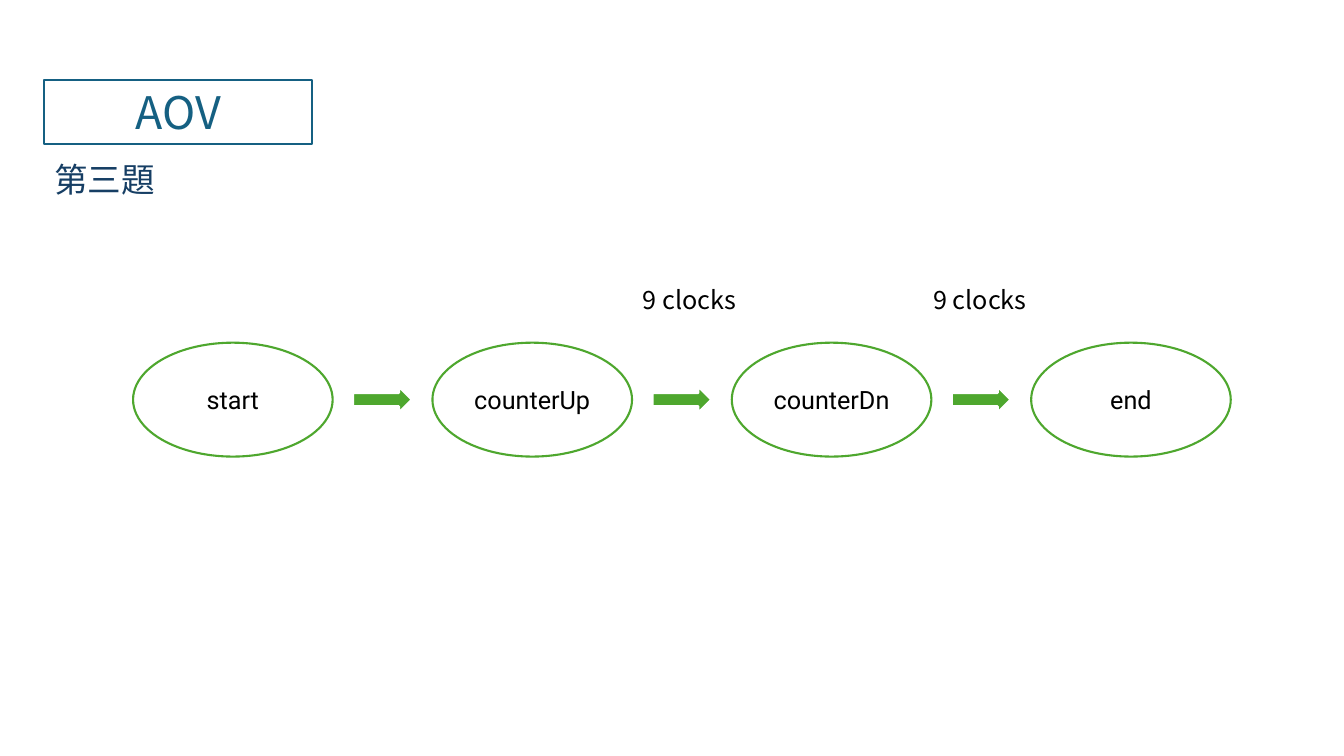
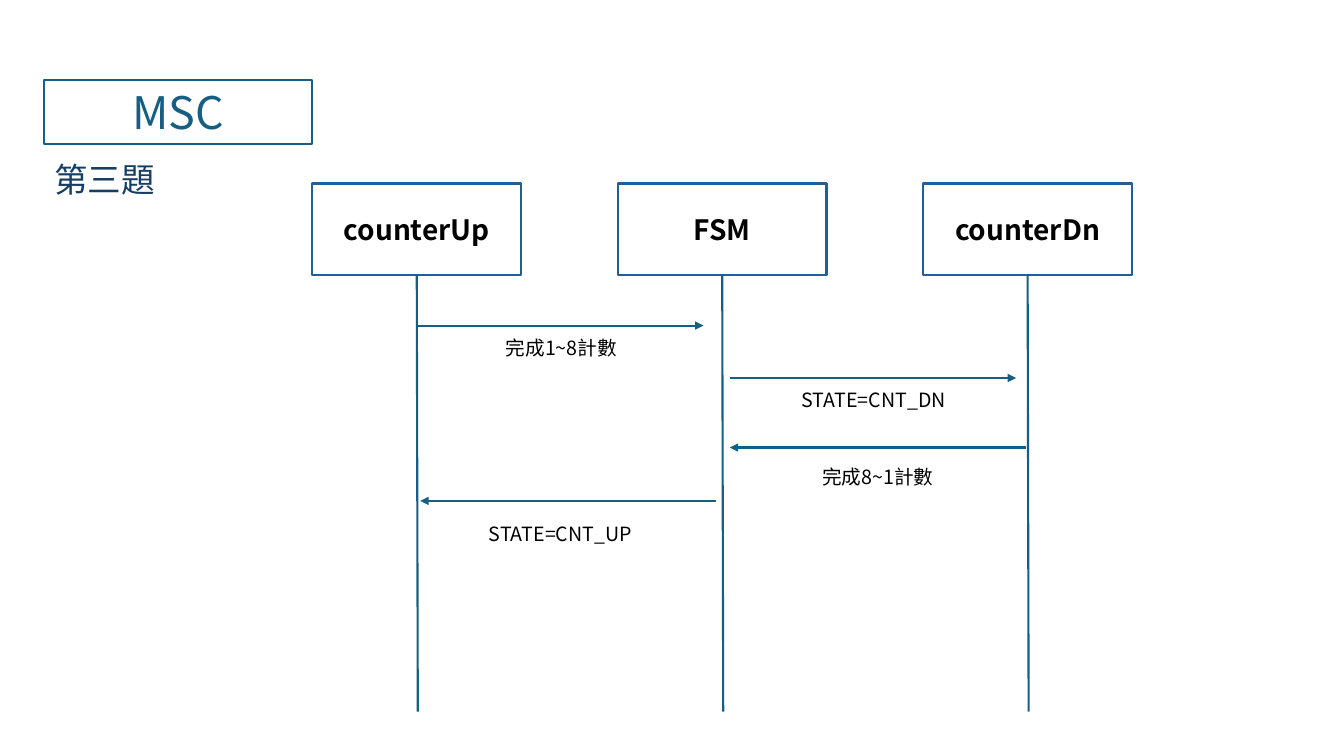
from dataclasses import dataclass
from typing import NamedTuple

import lxml.etree
import pptx
import pptx.dml.color
import pptx.enum.shapes
import pptx.enum.text
import pptx.oxml.ns
import pptx.shapes.autoshape
import pptx.slide
import pptx.text.text
import pptx.util

COLS, ROWS = 160, 90
WIDTH, HEIGHT = pptx.util.Inches(40 / 3), pptx.util.Inches(7.5)
Kind = pptx.enum.shapes.MSO_SHAPE
Align = pptx.enum.text.PP_ALIGN
Anchor = pptx.enum.text.MSO_ANCHOR
qn = pptx.oxml.ns.qn


class Style(NamedTuple):
    size: float
    color: str
    font: str = "Noto Sans CJK SC"
    bold: bool = False


@dataclass(frozen=True)
class Theme:
    teal: str = "156082"
    blue: str = "215F9A"
    green: str = "4EA72E"
    white: str = "FFFFFF"
    line: float = 1.5
    edge: float = 2
    title: Style = Style(32, "156082")
    topic: Style = Style(24, "163E64")
    state: Style = Style(18, "000000", "Roboto")
    clock: Style = Style(18, "000000")
    actor: Style = Style(20, "000000", bold=True)
    note: Style = Style(14, "000000")


THEME = Theme()


class Box(NamedTuple):
    col: float
    row: float
    wide: float
    high: float

    def step(self, gap: float) -> "Box":
        return self._replace(col=self.col + gap)

    @property
    def mid(self) -> float:
        return self.col + self.wide / 2

    @property
    def foot(self) -> float:
        return self.row + self.high


class Message(NamedTuple):
    text: str
    start: float
    end: float
    row: float
    mid: float
    drop: float


TITLE = Box(5.28, 9.48, 31.92, 7.68)
TOPIC = Box(5.28, 18.36, 14.52, 6)

STATES = ("start", "counterUp", "counterDn", "end")
STATE = Box(15.84, 40.8, 23.76, 13.56)
STATE_STEP = 35.64
ARROW_WIDE, ARROW_HIGH = 7.08, 3.24
CLOCK = Box(75.36, 33.24, 13.68, 4.8)
CLOCK_STEP = 34.56

ACTORS = ("counterUp", "FSM", "counterDn")
ACTOR = Box(37.2, 21.84, 24.84, 10.92)
ACTOR_STEP = 36.36
LIFE_END, LIFE_LEAN = 84.72, 0.12
NOTE_WIDE, NOTE_HIGH = 21, 4.08
MESSAGES = (
    Message("完成1~8計數", 49.68, 83.76, 38.76, 66.84, 0.6),
    Message("STATE=CNT_DN", 86.88, 120.96, 45, 104.04, 0.6),
    Message("完成8~1計數", 122.16, 86.88, 53.28, 104.52, 1.44),
    Message("STATE=CNT_UP", 85.2, 50.04, 59.64, 66.72, 1.92),
)


def across(col: float) -> int:
    return round(WIDTH * col / COLS)


def down(row: float) -> int:
    return round(HEIGHT * row / ROWS)


def place(box: Box) -> tuple[int, int, int, int]:
    return across(box.col), down(box.row), across(box.wide), down(box.high)


def tint(code: str) -> pptx.dml.color.RGBColor:
    return pptx.dml.color.RGBColor.from_string(code)


def write(frame: pptx.text.text.TextFrame, text: str, style: Style,
          align: Align = Align.CENTER, anchor: Anchor = Anchor.TOP,
          wrap: bool = True) -> None:
    frame.word_wrap = wrap
    frame.vertical_anchor = anchor
    if anchor == Anchor.TOP:
        frame.auto_size = pptx.enum.text.MSO_AUTO_SIZE.SHAPE_TO_FIT_TEXT
    para = frame.paragraphs[0]
    para.alignment = align
    run = para.add_run()
    run.text = text
    font = run.font
    font.name, font.size, font.bold = style.font, pptx.util.Pt(style.size), style.bold
    font.color.rgb = tint(style.color)
    east = lxml.etree.SubElement(run._r.get_or_add_rPr(), qn("a:ea"))
    east.set("typeface", style.font)


def shape(slide: pptx.slide.Slide, kind: Kind, box: Box, line: str,
          fill: str | None = None,
          weight: float = THEME.line) -> pptx.shapes.autoshape.Shape:
    item = slide.shapes.add_shape(kind, *place(box))
    item.shadow.inherit = False
    if fill is None:
        item.fill.background()
    else:
        item.fill.solid()
        item.fill.fore_color.rgb = tint(fill)
    item.line.color.rgb = tint(line)
    item.line.width = pptx.util.Pt(weight)
    return item


def label(slide: pptx.slide.Slide, text: str, box: Box, style: Style,
          align: Align = Align.LEFT, wrap: bool = False) -> None:
    item = slide.shapes.add_textbox(*place(box))
    write(item.text_frame, text, style, align, wrap=wrap)


def link(slide: pptx.slide.Slide, start: tuple[float, float],
         end: tuple[float, float], head: bool = False) -> None:
    item = slide.shapes.add_connector(
        pptx.enum.shapes.MSO_CONNECTOR.STRAIGHT,
        across(start[0]), down(start[1]), across(end[0]), down(end[1]))
    item.line.color.rgb = tint(THEME.teal)
    item.line.width = pptx.util.Pt(THEME.line)
    if head:
        tip = lxml.etree.SubElement(item.line._get_or_add_ln(), qn("a:tailEnd"))
        tip.set("type", "triangle")
    lxml.etree.SubElement(item._element.spPr, qn("a:effectLst"))


def begin(deck: pptx.presentation.Presentation, title: str) -> pptx.slide.Slide:
    slide = deck.slides.add_slide(deck.slide_layouts[6])
    frame = shape(slide, Kind.RECTANGLE, TITLE, THEME.teal, THEME.white).text_frame
    write(frame, title, THEME.title)
    label(slide, "第三題", TOPIC, THEME.topic)
    return slide


def draw_flow(slide: pptx.slide.Slide) -> None:
    gap = STATE_STEP - STATE.wide
    arrow = Box(STATE.col + STATE.wide + (gap - ARROW_WIDE) / 2,
                STATE.row + (STATE.high - ARROW_HIGH) / 2, ARROW_WIDE, ARROW_HIGH)
    for i, name in enumerate(STATES):
        item = shape(slide, Kind.OVAL, STATE.step(i * STATE_STEP),
                     THEME.green, THEME.white)
        write(item.text_frame, name, THEME.state, anchor=Anchor.MIDDLE)
    for i in range(len(STATES) - 1):
        shape(slide, Kind.RIGHT_ARROW, arrow.step(i * STATE_STEP),
              THEME.white, THEME.green, THEME.edge)
    for i in range(2):
        label(slide, "9 clocks", CLOCK.step(i * CLOCK_STEP), THEME.clock)


def draw_chart(slide: pptx.slide.Slide) -> None:
    for i, name in enumerate(ACTORS):
        box = ACTOR.step(i * ACTOR_STEP)
        item = shape(slide, Kind.RECTANGLE, box, THEME.blue)
        write(item.text_frame, name, THEME.actor, anchor=Anchor.MIDDLE)
        link(slide, (box.mid, box.foot), (box.mid + LIFE_LEAN, LIFE_END))
    for note in MESSAGES:
        link(slide, (note.start, note.row), (note.end, note.row), head=True)
        box = Box(note.mid - NOTE_WIDE / 2, note.row + note.drop, NOTE_WIDE, NOTE_HIGH)
        label(slide, note.text, box, THEME.note, Align.CENTER, wrap=True)


def main() -> None:
    deck = pptx.Presentation()
    deck.slide_width, deck.slide_height = WIDTH, HEIGHT
    draw_flow(begin(deck, "AOV"))
    draw_chart(begin(deck, "MSC"))
    deck.save("out.pptx")


if __name__ == "__main__":
    main()
